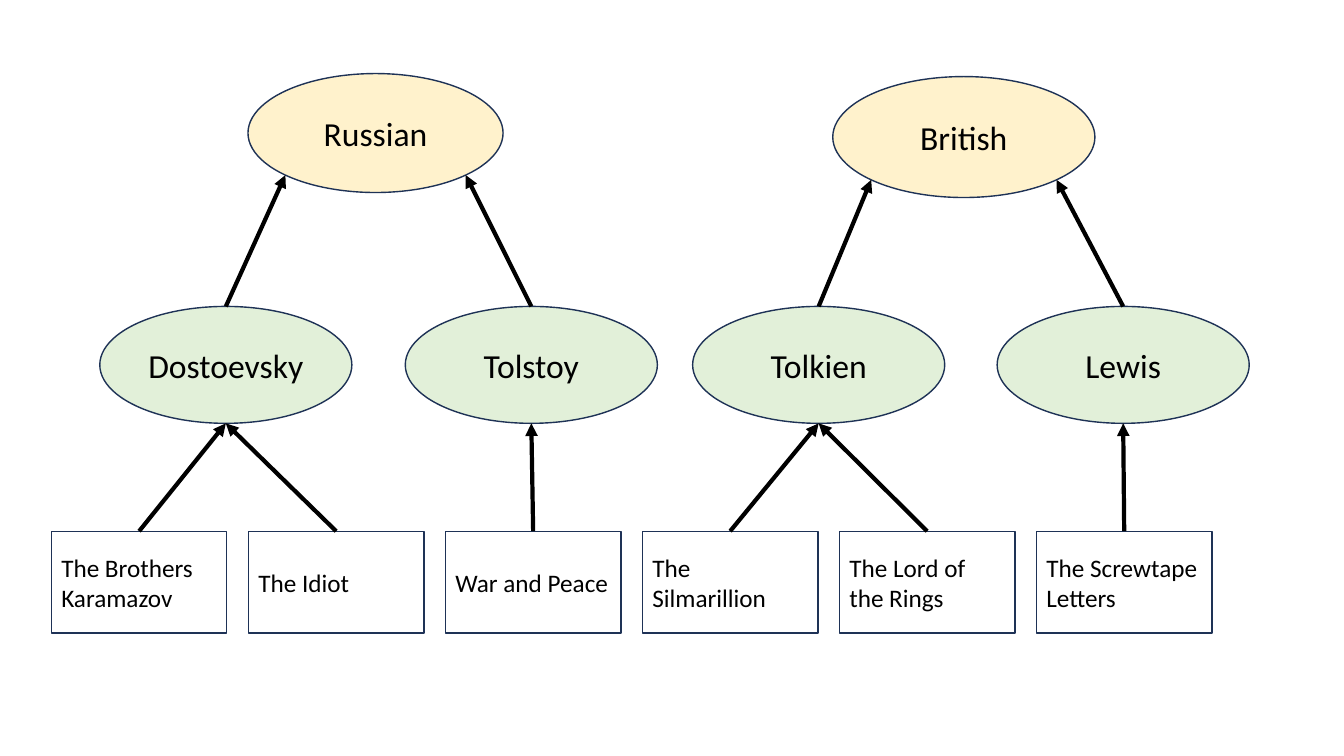
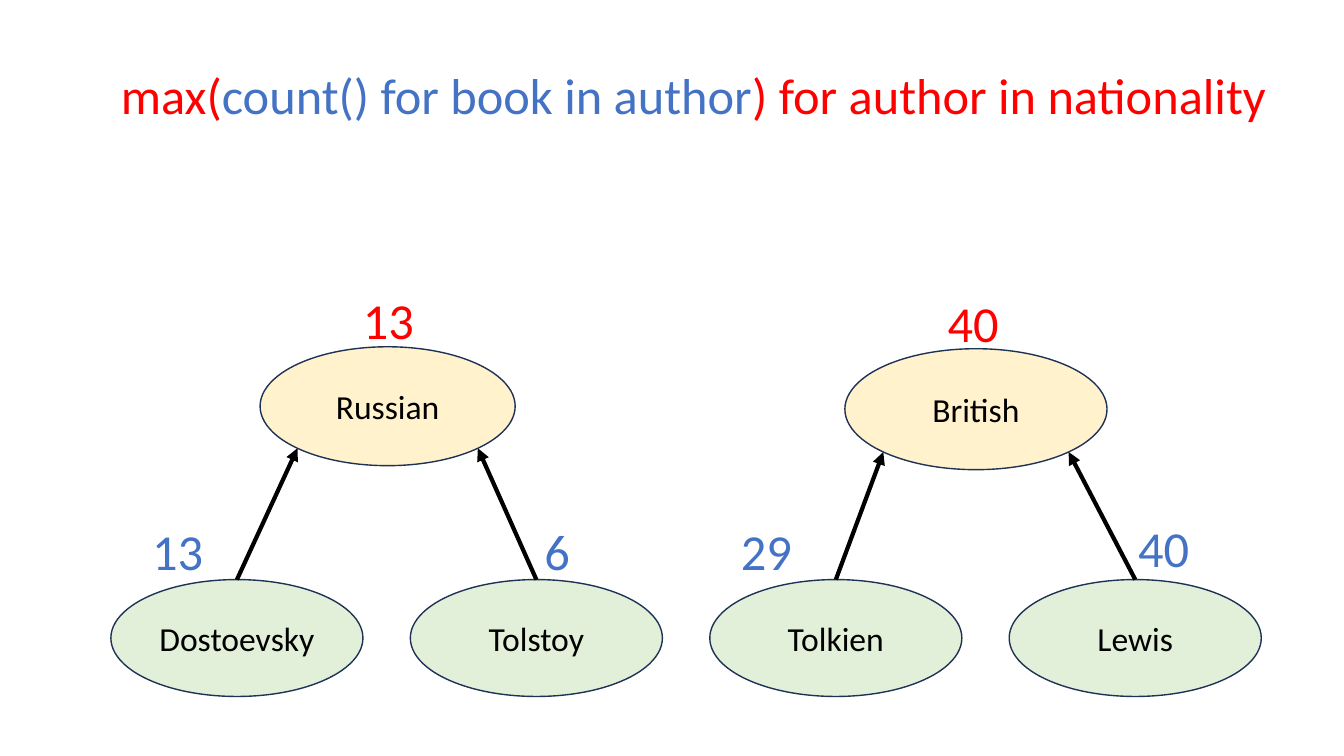
"""Build two slides of book trees by author and nationality."""
from math import sqrt

from pptx import Presentation
from pptx.dml.color import RGBColor
from pptx.enum.shapes import MSO_CONNECTOR, MSO_SHAPE
from pptx.enum.text import MSO_ANCHOR, PP_ALIGN
from pptx.oxml.ns import qn
from pptx.util import Inches, Pt
from lxml.etree import SubElement

FONT = "Calibri"
BLACK, OUTLINE = "000000", "1E3256"
CREAM, GREEN = "FFF2CC", "E2F0D9"
RED, BLUE = "FF0000", "4472C4"
AUTHOR_W, AUTHOR_H = 2.5, 1.16
BOOK_LEFT, BOOK_TOP, BOOK_STEP = 0.51, 5.27, 1.954

TREES = {"Russian": ["Dostoevsky", "Tolstoy"], "British": ["Tolkien", "Lewis"]}
BOOKS = [
    ("Dostoevsky", "The Brothers\nKaramazov"),
    ("Dostoevsky", "The Idiot"),
    ("Tolstoy", "War and Peace"),
    ("Tolkien", "The\nSilmarillion"),
    ("Tolkien", "The Lord of\nthe Rings"),
    ("Lewis", "The Screwtape Letters"),
]


def rgb(color):
    return RGBColor.from_string(color)


def style(font, size, color):
    font.name, font.size = FONT, Pt(size)
    font.color.rgb = rgb(color)


def node(s, kind, box, text, size, fill=None, align=PP_ALIGN.CENTER):
    sp = s.shapes.add_shape(kind, *map(Inches, box))
    sp.shadow.inherit = False
    if fill:
        sp.fill.solid()
        sp.fill.fore_color.rgb = rgb(fill)
    else:
        sp.fill.background()
    sp.line.color.rgb = rgb(OUTLINE)
    sp.line.width = Pt(1)
    tf = sp.text_frame
    tf.word_wrap = True
    tf.vertical_anchor = MSO_ANCHOR.MIDDLE
    tf.text = text
    for p in tf.paragraphs:
        p.alignment = align
        style(p.font, size, BLACK)
    return sp


def arrow(s, child, parent, side=0):
    """Point from a child's top to its parent's lower left (-1), bottom (0) or lower right (1)."""
    reach_x, reach_y = (side / sqrt(2), 1 / sqrt(2)) if side else (0, 1)
    x = int(parent.left + parent.width / 2 * (1 + reach_x))
    y = int(parent.top + parent.height / 2 * (1 + reach_y))
    cx = s.shapes.add_connector(MSO_CONNECTOR.STRAIGHT, child.left, child.top, x, y)
    cx.begin_connect(child, 0)
    cx.line.color.rgb = rgb(BLACK)
    cx.line.width = Pt(3)
    SubElement(cx.line._get_or_add_ln(), qn("a:tailEnd"), type="triangle")
    SubElement(cx._element.spPr, qn("a:effectLst"))


def label(s, left, top, width, *runs):
    tf = s.shapes.add_textbox(*map(Inches, (left, top, width, 0.71))).text_frame
    tf.word_wrap = True
    p = tf.paragraphs[0]
    for text, color in runs:
        r = p.add_run()
        r.text = text
        style(r.font, 36, color)


def trees(s, nation_boxes, author_lefts, author_top):
    """Draw nationalities above their authors and return the author shapes by name."""
    authors, lefts = {}, iter(author_lefts)
    for (nation, names), box in zip(TREES.items(), nation_boxes):
        parent = node(s, MSO_SHAPE.OVAL, box, nation, 24, CREAM)
        for name, side in zip(names, (-1, 1)):
            box = (next(lefts), author_top, AUTHOR_W, AUTHOR_H)
            authors[name] = node(s, MSO_SHAPE.OVAL, box, name, 24, GREEN)
            arrow(s, authors[name], parent, side)
    return authors


def books_slide(s):
    nations = [(2.46, 0.73, 2.53, 1.18), (8.26, 0.76, 2.6, 1.2)]
    authors = trees(s, nations, [0.99, 4.02, 6.87, 9.89], 3.04)
    for i, (author, title) in enumerate(BOOKS):
        box = (BOOK_LEFT + i * BOOK_STEP, BOOK_TOP, 1.74, 1.01)
        book = node(s, MSO_SHAPE.RECTANGLE, box, title, 18, align=PP_ALIGN.LEFT)
        arrow(s, book, authors[author])


def counts_slide(s):
    label(s, 1.1, 0.59, 11.64, ("max(", RED), ("count() for book in author", BLUE),
          (") for author in nationality", RED))
    nations = [(2.58, 3.44, 2.53, 1.18), (8.38, 3.46, 2.6, 1.2)]
    trees(s, nations, [1.1 + 2.97 * i for i in range(4)], 5.75)
    for left, top, width, count, color in [
        (1.41, 5.11, 1.19, "13", BLUE),
        (5.3, 5.11, 1.36, "6", BLUE),
        (7.25, 5.11, 0.82, "29", BLUE),
        (11.19, 5.08, 1.36, "40", BLUE),
        (3.5, 2.82, 0.86, "13", RED),
        (9.3, 2.85, 0.71, "40", RED),
    ]:
        label(s, left, top, width, (count, color))


def main():
    prs = Presentation()
    prs.slide_width, prs.slide_height = Inches(13.33), Inches(7.5)
    for build in (books_slide, counts_slide):
        build(prs.slides.add_slide(prs.slide_layouts[6]))
    prs.save("out.pptx")


if __name__ == "__main__":
    main()
